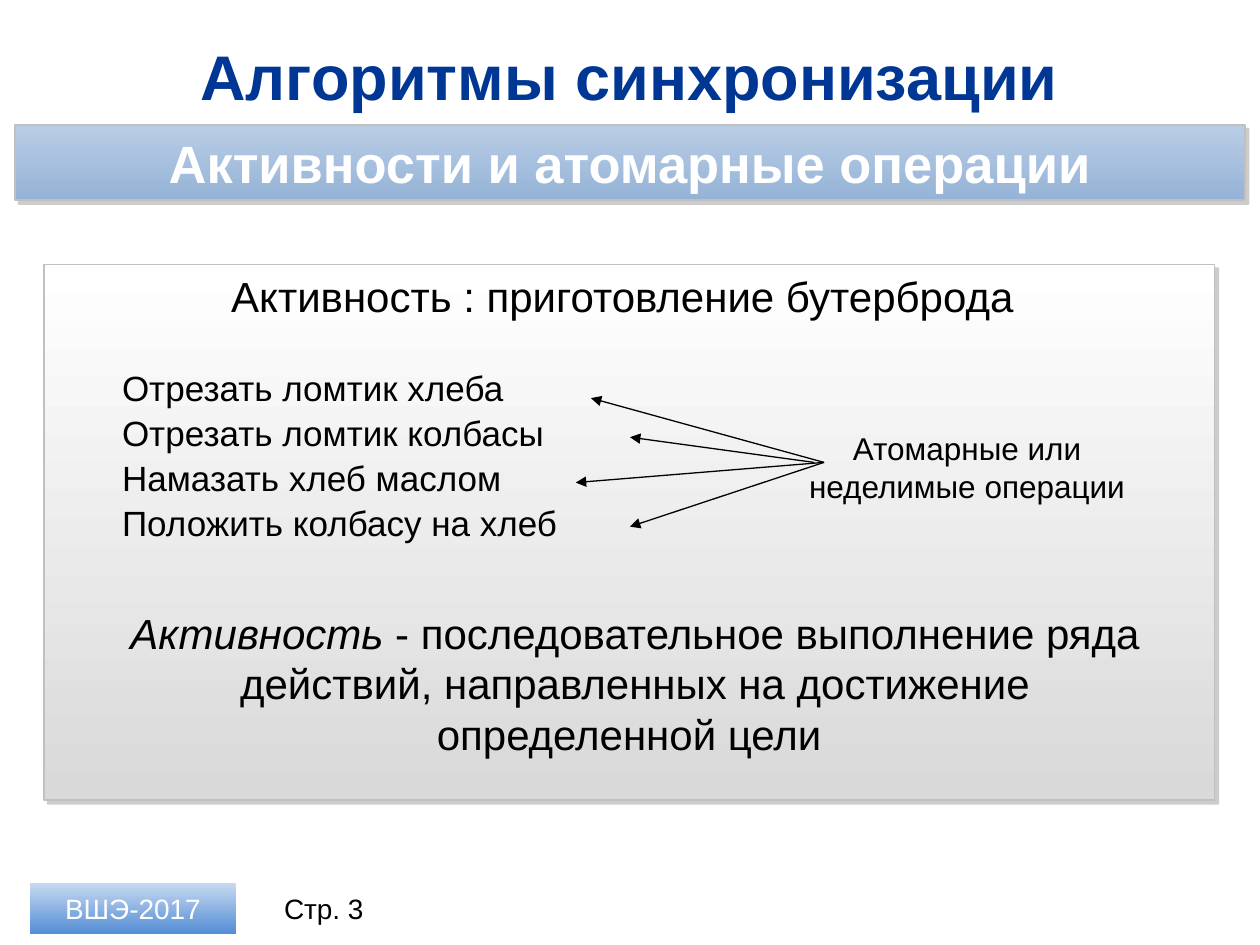
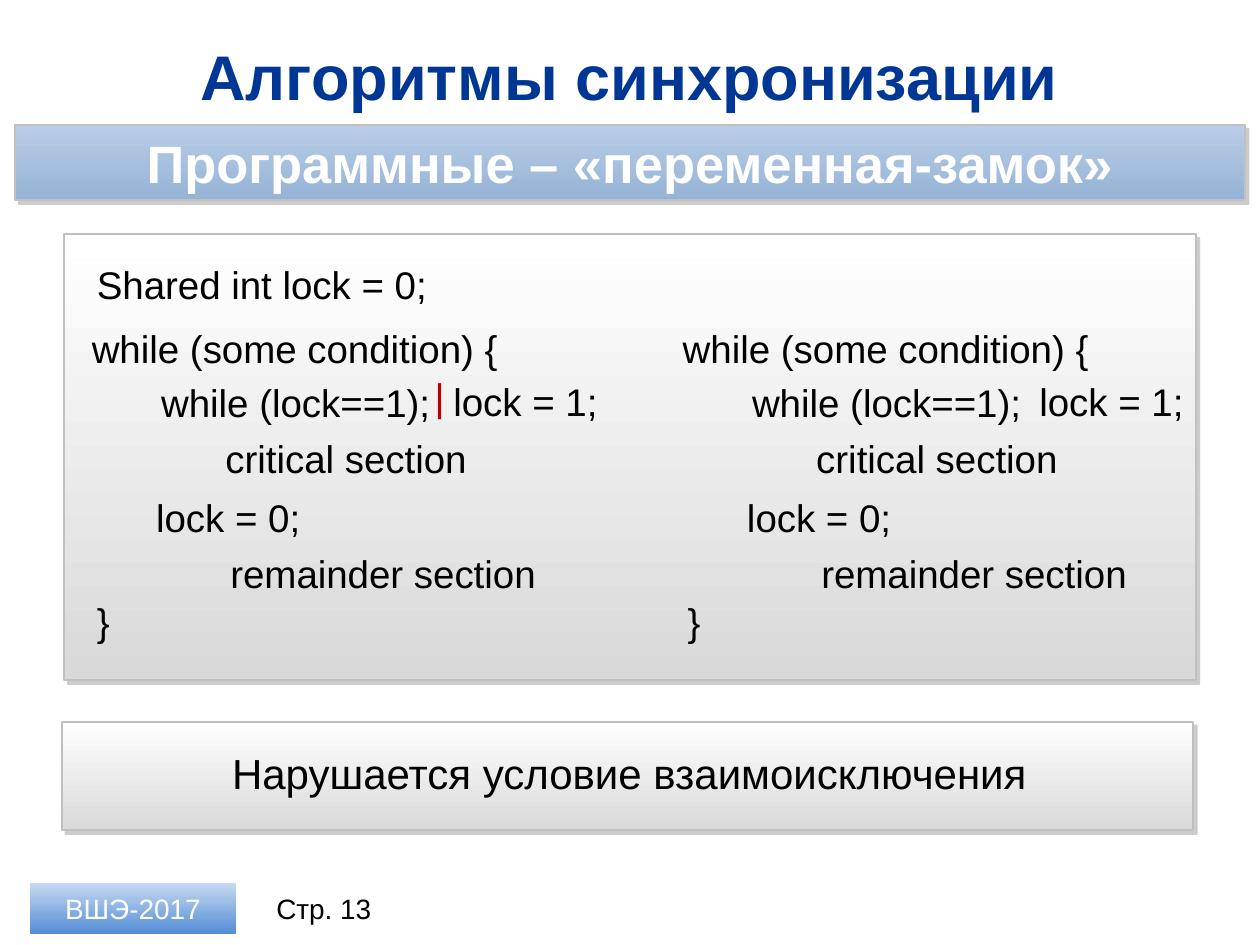
"""Build two lecture slides on synchronization algorithms."""
from dataclasses import dataclass

from lxml import etree
from pptx import Presentation
from pptx.dml.color import RGBColor
from pptx.enum.shapes import MSO_CONNECTOR, MSO_SHAPE
from pptx.enum.text import MSO_ANCHOR, MSO_AUTO_SIZE, PP_ALIGN
from pptx.oxml.ns import qn
from pptx.presentation import Presentation as Deck
from pptx.shapes.autoshape import Shape
from pptx.slide import Slide
from pptx.text.text import TextFrame
from pptx.util import Inches, Pt

RECT, STRAIGHT = MSO_SHAPE.RECTANGLE, MSO_CONNECTOR.STRAIGHT
TOP, MIDDLE = MSO_ANCHOR.TOP, MSO_ANCHOR.MIDDLE
LEFT, CENTER = PP_ALIGN.LEFT, PP_ALIGN.CENTER
FIXED = MSO_AUTO_SIZE.NONE
FONT = "Arial"
TITLE_ONLY = 5
COLORS = {
    "title": "003794", "text": "000000", "white": "FFFFFF", "mark": "C00000",
    "border": "C0C0C0", "shadow": "808080", "panel_end": "D9D9D9",
    "band": "B9CDE5", "band_end": "95B3D7",
    "badge": "C6D9F1", "badge_end": "558ED5",
}
TITLE = "Алгоритмы синхронизации"
COLUMN_STEP = 4.69
ARROW_Y = 3.67


@dataclass(frozen=True)
class Box:
    """Place on the slide in inches."""
    x: float
    y: float
    w: float
    h: float


@dataclass(frozen=True)
class Style:
    """Look of a block of text."""
    size: int
    color: str = "text"
    bold: bool = False
    align: PP_ALIGN = CENTER
    anchor: MSO_ANCHOR = TOP


@dataclass(frozen=True)
class CodeLine:
    """A line of code and the place of its box."""
    text: str
    x: float
    y: float
    w: float


@dataclass(frozen=True)
class Arrow:
    """An arrow from the caption to an operation."""
    start_x: float
    end_x: float
    end_y: float


TITLE_STYLE = Style(36, "title", True, anchor=MIDDLE)
BAND_STYLE = Style(30, "white", True, anchor=MIDDLE)
BADGE_STYLE = Style(16, "white", anchor=MIDDLE)
PAGE_STYLE = Style(16, anchor=MIDDLE)
BODY = Style(24)
CAPTION = Style(18)
LIST = Style(20, align=LEFT)
CODE = Style(22, align=LEFT)
MARK = Style(22, "mark", align=LEFT)

OPERATIONS = (
    "Отрезать ломтик хлеба", "Отрезать ломтик колбасы",
    "Намазать хлеб маслом", "Положить колбасу на хлеб",
)
ARROWS = (
    Arrow(6.54, 4.69, 3.16), Arrow(6.46, 5, 3.47),
    Arrow(6.54, 5, 4.18), Arrow(6.54, 4.57, 3.83),
)
PROCESS = (
    CodeLine("while (some condition) {", 0.63, 2.53, 4.02),
    CodeLine("while (lock==1);", 1.18, 2.96, 2.48),
    CodeLine("critical section", 1.69, 3.4, 2.44),
    CodeLine("lock = 0;", 1.14, 3.87, 1.89),
    CodeLine("remainder section", 1.73, 4.32, 2.95),
    CodeLine("}", 0.67, 4.7, 4.02),
)
SINGLE_LINES = (
    CodeLine("Shared int lock = 0;", 0.67, 2.02, 4.02),
    CodeLine("lock = 1;", 3.5, 2.95, 1.97),
    CodeLine("lock = 1;", 8.15, 2.95, 1.58),
)


def rgb(name: str) -> RGBColor:
    """Look up a colour by name."""
    return RGBColor.from_string(COLORS[name])


def place(shape: Shape, box: Box) -> None:
    """Move and size a shape."""
    values = {"left": box.x, "top": box.y, "width": box.w, "height": box.h}
    for name, value in values.items():
        setattr(shape, name, Inches(value))


def set_margins(tf: TextFrame, side: float, edge: float) -> None:
    """Set the inner margins of a text frame in inches."""
    margins = {"margin_left": side, "margin_right": side,
               "margin_top": edge, "margin_bottom": edge}
    for name, value in margins.items():
        setattr(tf, name, Inches(value))


def write(tf: TextFrame, style: Style, *lines: str, italic: str = "") -> None:
    """Fill a text frame with paragraphs, the first opening with an italic run."""
    frame = {"word_wrap": True, "auto_size": FIXED, "vertical_anchor": style.anchor}
    for name, value in frame.items():
        setattr(tf, name, value)
    for i, line in enumerate(lines):
        p = tf.add_paragraph() if i else tf.paragraphs[0]
        p.alignment = style.align
        runs = [(line, False)]
        if italic and not i:
            runs.insert(0, (italic, True))
        for text, slanted in runs:
            r = p.add_run()
            r.text = text
            values = {"name": FONT, "size": Pt(style.size),
                      "bold": style.bold, "italic": slanted}
            for name, value in values.items():
                setattr(r.font, name, value)
            r.font.color.rgb = rgb(style.color)


def add_text(s: Slide, box: Box, style: Style, *lines: str, italic: str = "") -> TextFrame:
    """Add a text box."""
    inches = [Inches(v) for v in (box.x, box.y, box.w, box.h)]
    tf = s.shapes.add_textbox(*inches).text_frame
    write(tf, style, *lines, italic=italic)
    return tf


def add_code(s: Slide, line: CodeLine, shift: float = 0, style: Style = CODE) -> None:
    """Add one line of code."""
    add_text(s, Box(line.x + shift, line.y, line.w, 0.47), style, line.text)


def add_panel(s: Slide, box: Box, start: str, end: str, framed: bool = True) -> Shape:
    """Add a rectangle shaded downwards, with border and shadow if framed."""
    inches = [Inches(v) for v in (box.x, box.y, box.w, box.h)]
    sp = s.shapes.add_shape(RECT, *inches)
    sp.shadow.inherit = False
    sp.fill.gradient()
    sp.fill.gradient_angle = 270
    for stop, color in zip(sp.fill.gradient_stops, (start, end)):
        stop.color.rgb = rgb(color)
    if not framed:
        sp.line.fill.background()
        return sp
    sp.line.color.rgb = rgb("border")
    sp.line.width = Pt(1)
    effects = sp._element.spPr.find(qn("a:effectLst"))
    shadow = etree.SubElement(effects, qn("a:outerShdw"), blurRad="0",
                              dist=str(Pt(3)), dir="2700000", algn="ctr", rotWithShape="0")
    color = etree.SubElement(shadow, qn("a:srgbClr"), val=COLORS["shadow"])
    etree.SubElement(color, qn("a:alpha"), val="40000")
    return sp


def add_arrow(s: Slide, arrow: Arrow) -> None:
    """Draw a thin arrow."""
    ends = (arrow.start_x, ARROW_Y, arrow.end_x, arrow.end_y)
    c = s.shapes.add_connector(STRAIGHT, *[Inches(v) for v in ends])
    c.line.color.rgb = rgb("text")
    c.line.width = Pt(0.75)
    props = c._element.spPr
    etree.SubElement(props.find(qn("a:ln")), qn("a:tailEnd"), type="triangle")
    etree.SubElement(props, qn("a:effectLst"))


def add_slide(prs: Deck, heading: str, page: int) -> Slide:
    """Add a slide with title, band and footer."""
    s = prs.slides.add_slide(prs.slide_layouts[TITLE_ONLY])
    title = s.shapes.title
    place(title, Box(0.35, 0.26, 9.29, 0.68))
    write(title.text_frame, TITLE_STYLE, TITLE)
    band = add_panel(s, Box(0.12, 0.99, 9.76, 0.6), "band", "band_end")
    set_margins(band.text_frame, 0.24, 0.04)
    write(band.text_frame, BAND_STYLE, heading)
    badge = add_panel(s, Box(0.24, 7.01, 1.63, 0.4), "badge", "badge_end", framed=False)
    write(badge.text_frame, BADGE_STYLE, "ВШЭ-2017")
    add_text(s, Box(2.03, 7.01, 1.08, 0.4), PAGE_STYLE, f"Стр. {page}")
    return s


def add_activity_slide(prs: Deck) -> None:
    """Build the slide on activities and atomic operations."""
    s = add_slide(prs, "Активности и атомарные операции", 3)
    add_panel(s, Box(0.35, 2.1, 9.29, 4.25), "white", "panel_end")
    tf = add_text(s, Box(0.87, 2.9, 8.21, 2.15), LIST, *OPERATIONS)
    for p in tf.paragraphs:
        p.line_spacing = 0.9
        p.space_before = Pt(4)
    add_text(s, Box(0.67, 4.77, 8.74, 1.31), BODY,
             " - последовательное выполнение ряда действий, "
             "направленных на достижение определенной цели ", italic="Активность")
    add_text(s, Box(1.26, 2.1, 7.36, 0.5), BODY, "Активность : приготовление бутерброда")
    caption = add_text(s, Box(5.94, 3.36, 3.47, 0.7), CAPTION,
                       "Атомарные или неделимые операции")
    set_margins(caption, 0.4, 0.05)
    for arrow in ARROWS:
        add_arrow(s, arrow)


def add_lock_slide(prs: Deck) -> None:
    """Build the slide on the lock variable."""
    s = add_slide(prs, "Программные – «переменная-замок»", 13)
    add_panel(s, Box(0.49, 5.73, 8.98, 0.86), "white", "panel_end")
    add_panel(s, Box(0.51, 1.86, 8.98, 3.54), "white", "panel_end")
    add_text(s, Box(1.61, 5.88, 6.77, 0.5), BODY, "Нарушается условие взаимоисключения")
    for shift in (0, COLUMN_STEP):
        for line in PROCESS:
            add_code(s, line, shift)
    for line in SINGLE_LINES:
        add_code(s, line)
    add_code(s, CodeLine("|", 3.35, 2.91, 0.59), style=MARK)


def main() -> None:
    """Build and save the presentation."""
    prs = Presentation()
    prs.slide_width, prs.slide_height = Inches(10), Inches(7.5)
    add_activity_slide(prs)
    add_lock_slide(prs)
    prs.save("out.pptx")


if __name__ == "__main__":
    main()
